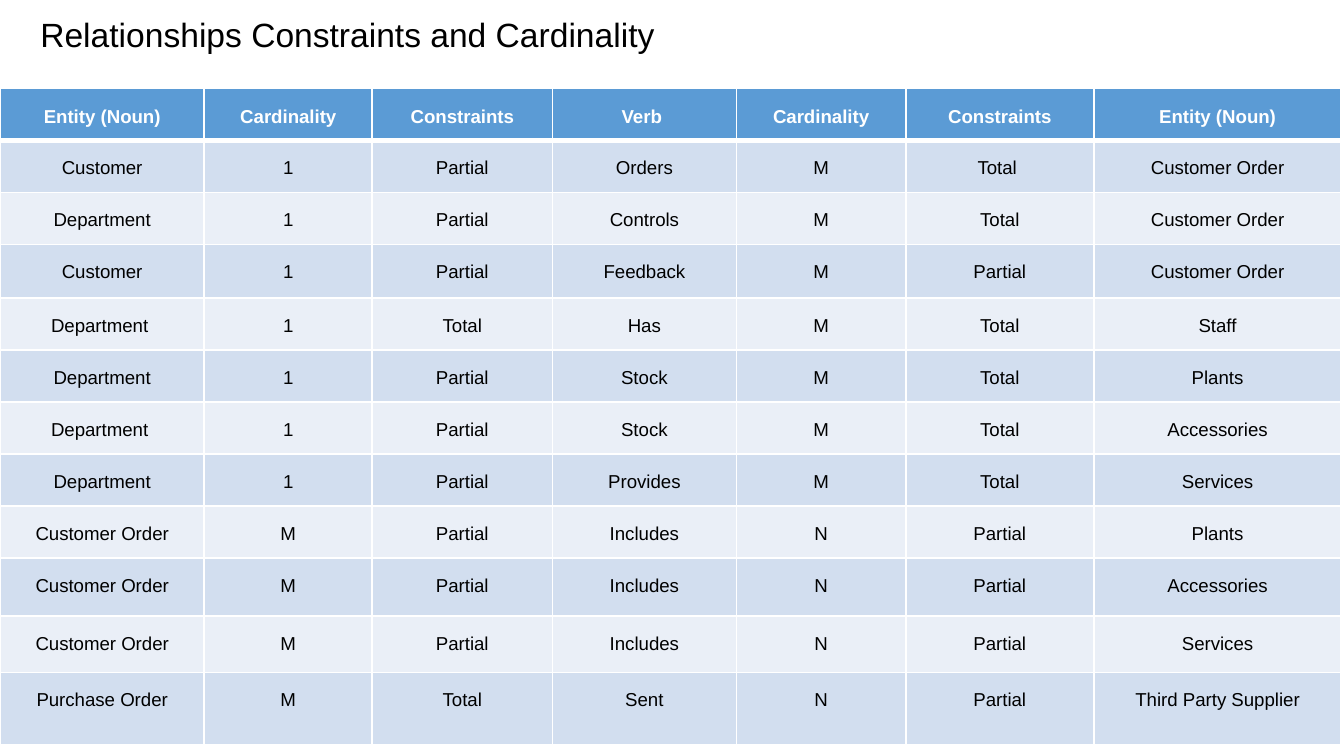
from dataclasses import dataclass

from lxml import etree
from pptx import Presentation
from pptx.dml.color import RGBColor
from pptx.enum.text import MSO_ANCHOR, MSO_AUTO_SIZE, PP_ALIGN
from pptx.oxml.ns import qn
from pptx.util import Inches, Pt

CENTER, LEFT = PP_ALIGN.CENTER, PP_ALIGN.LEFT
TOP = MSO_ANCHOR.TOP
NO_FIT = MSO_AUTO_SIZE.NONE
TITLE_ONLY = 5


@dataclass(frozen=True)
class Theme:
    font: str = "Arial"
    title_size: int = 18
    cell_size: int = 10
    text: str = "000000"
    header_text: str = "FFFFFF"
    header: str = "5B9BD5"
    bands: tuple = ("D2DEEF", "EAEFF7")
    border: str = "FFFFFF"
    border_width: int = 1
    rule_width: int = 3


THEME = Theme()
INSET = Inches(0.1)
COLUMNS = [1.52, 1.25, 1.34, 1.37, 1.26, 1.4, 1.84]
ROWS = [0.11, 0.32, 0.22, 0.4, 0.26, 0.31, 0.35, 0.39, 0.36, 0.43, 0.42, 0.54]
RELATIONSHIPS = [
    ("Entity (Noun)", "Cardinality", "Constraints", "Verb ",
     "Cardinality", "Constraints", "Entity (Noun)"),
    ("Customer", "1", "Partial", "Orders", "M", "Total ", "Customer Order"),
    ("Department", "1", "Partial", "Controls", "M", "Total", "Customer Order"),
    ("Customer", "1", "Partial", "Feedback", "M", "Partial", "Customer Order"),
    ("Department ", "1", "Total", "Has", "M", "Total", "Staff"),
    ("Department", "1", "Partial", "Stock", "M", "Total", "Plants"),
    ("Department ", "1", "Partial", "Stock", "M", "Total", "Accessories"),
    ("Department", "1", "Partial", "Provides", "M", "Total", "Services"),
    ("Customer Order", "M", "Partial", "Includes", "N", "Partial", "Plants"),
    ("Customer Order", "M", "Partial", "Includes", "N", "Partial", "Accessories"),
    ("Customer Order", "M", "Partial", "Includes", "N", "Partial", "Services"),
    ("Purchase Order", "M", "Total", "Sent", "N", "Partial", "Third Party Supplier"),
]


def set_inset(box):
    box.margin_left = box.margin_right = INSET
    box.margin_top = box.margin_bottom = INSET


def style_font(p, size, color, bold=False):
    p.font.name = THEME.font
    p.font.size = Pt(size)
    p.font.bold = bold
    p.font.color.rgb = RGBColor.from_string(color)


def set_borders(cell, top, bottom):
    tc_pr = cell._tc.get_or_add_tcPr()
    side = THEME.border_width
    widths = {"lnL": side, "lnR": side, "lnT": top, "lnB": bottom}
    for i, (tag, width) in enumerate(widths.items()):
        ln = etree.Element(qn(f"a:{tag}"), w=str(Pt(width)))
        fill = etree.SubElement(ln, qn("a:solidFill"))
        etree.SubElement(fill, qn("a:srgbClr"), val=THEME.border)
        tc_pr.insert(i, ln)


def fill_cell(cell, text, row):
    header = row == 0
    fill = THEME.header if header else THEME.bands[(row - 1) % 2]
    cell.fill.solid()
    cell.fill.fore_color.rgb = RGBColor.from_string(fill)
    set_borders(cell,
                THEME.rule_width if row == 1 else THEME.border_width,
                THEME.rule_width if header else THEME.border_width)
    set_inset(cell)
    cell.vertical_anchor = TOP
    cell.text = text
    p = cell.text_frame.paragraphs[0]
    p.alignment = CENTER
    p.line_spacing = 1.2
    p_pr = p._p.get_or_add_pPr()
    for name, value in (("marL", INSET), ("marR", INSET), ("indent", 0)):
        p_pr.set(name, str(value))
    style_font(p, THEME.cell_size,
               THEME.header_text if header else THEME.text, header)


def add_title(slide, text, left, top, width, height):
    sp = slide.shapes.title
    sp.left, sp.top = Inches(left), Inches(top)
    sp.width, sp.height = Inches(width), Inches(height)
    tf = sp.text_frame
    tf.text = text
    tf.word_wrap = True
    tf.auto_size = NO_FIT
    tf.vertical_anchor = TOP
    set_inset(tf)
    p = tf.paragraphs[0]
    p.alignment = LEFT
    style_font(p, THEME.title_size, THEME.text)


def add_relationship_table(slide, left, top):
    table = slide.shapes.add_table(
        len(ROWS), len(COLUMNS), Inches(left), Inches(top),
        Inches(sum(COLUMNS)), Inches(sum(ROWS))).table
    for column, width in zip(table.columns, COLUMNS):
        column.width = Inches(width)
    for row, height in zip(table.rows, ROWS):
        row.height = Inches(height)
    for r, values in enumerate(RELATIONSHIPS):
        for c, text in enumerate(values):
            fill_cell(table.cell(r, c), text, r)


def main():
    prs = Presentation()
    prs.slide_width = Inches(10)
    prs.slide_height = prs.slide_width * 9 // 16
    slide = prs.slides.add_slide(prs.slide_layouts[TITLE_ONLY])
    add_title(slide, "Relationships Constraints and Cardinality", 0.2, 0, 9.32, 0.5)
    add_relationship_table(slide, 0, 0.66)
    prs.save("out.pptx")


if __name__ == "__main__":
    main()
